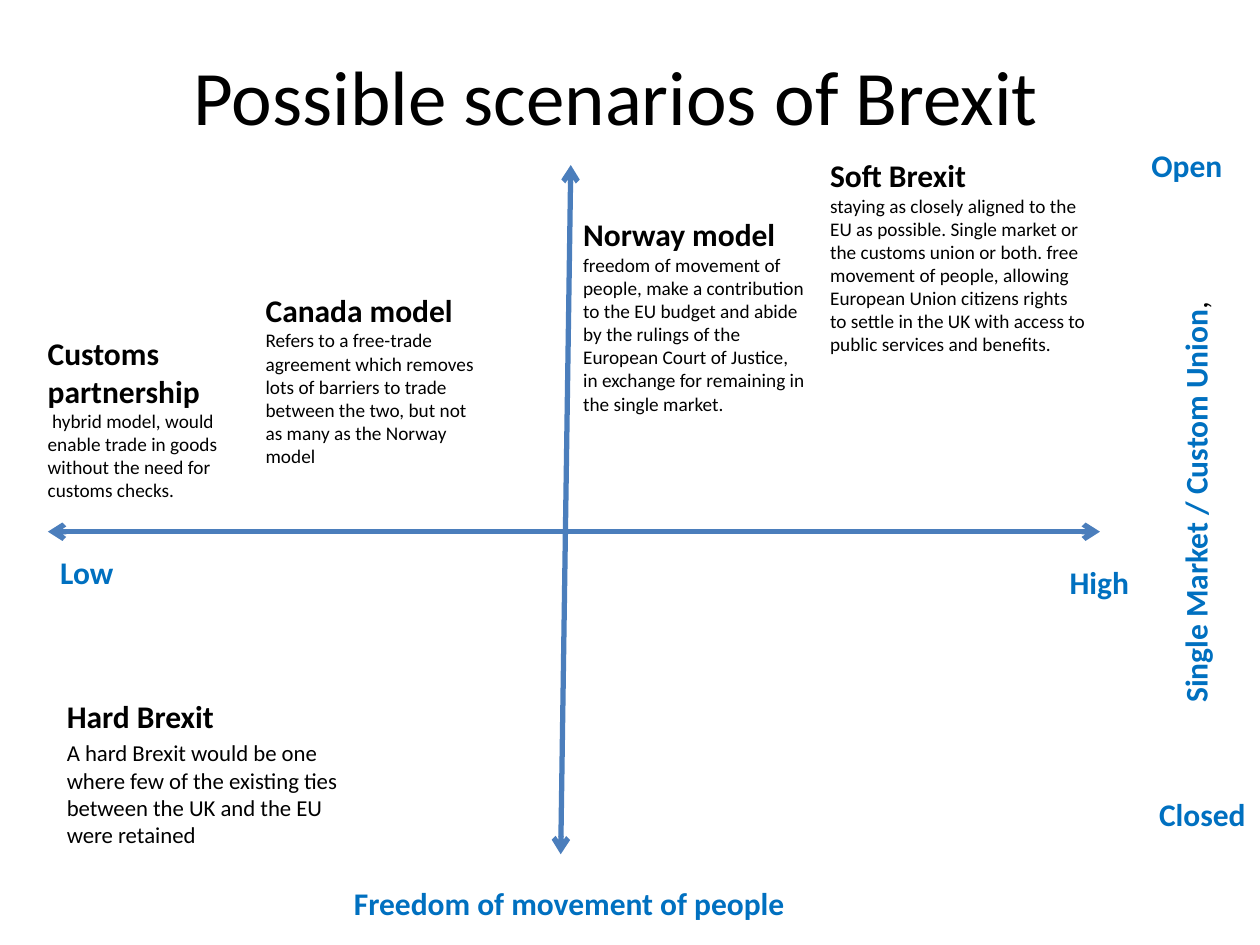
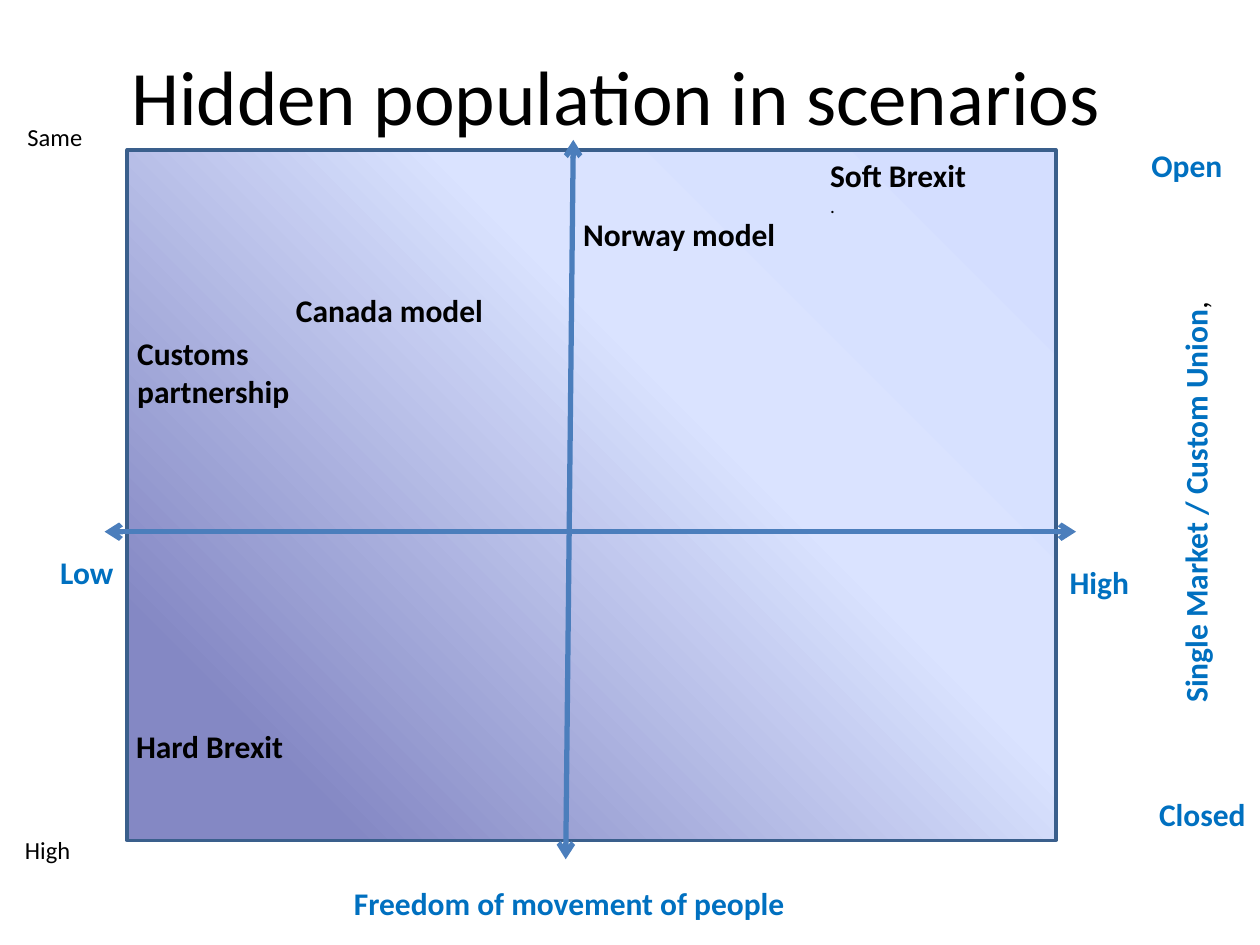
"""Build two slides that map Brexit scenarios on a market and movement grid."""
from dataclasses import dataclass

from lxml import etree
from pptx import Presentation
from pptx.dml.color import RGBColor
from pptx.enum import shapes, text
from pptx.oxml import ns
from pptx.util import Inches, Pt


@dataclass(frozen=True)
class Theme:
    """Colours, font and type sizes of the deck."""
    font: str = "Calibri"
    ink: str = "000000"
    accent: str = "0070C0"
    axis: str = "4B7EBC"
    border: str = "3A5F8C"
    gradient: tuple = ((14, "8488C4"), (62, "DAE3FF"), (100, "D4DEFF"), (100, "96AB94"))
    gradient_angle: int = 45
    title: int = 44
    heading: int = 18
    scale: int = 14
    hard_detail: int = 13
    detail: int = 11
    axis_width: int = 3
    border_width: int = 2


@dataclass(frozen=True)
class Box:
    """A place on the slide in inches."""
    left: float
    top: float
    width: float
    height: float

    def lengths(self) -> tuple:
        """Return the four sides as lengths."""
        return tuple(Inches(side) for side in (self.left, self.top, self.width, self.height))


@dataclass(frozen=True)
class Label:
    """A one-line label beside the grid."""
    words: str
    box: Box
    rotation: int = 0
    ending: str = ""


@dataclass(frozen=True)
class Scenario:
    """A scenario heading with an optional description."""
    heading: str
    box: Box
    detail: str = ""


@dataclass(frozen=True)
class Axis:
    """A double-headed arrow between two points in inches."""
    start: tuple
    end: tuple


THEME = Theme()
TITLE_BOX = Box(0.39, 0.13, 9, 1.25)
PANEL_BOX = Box(1.01, 1.19, 7.37, 5.48)
AXIS_LABELS = (
    Label("Freedom of movement of people", Box(2.71, 6.97, 3.71, 0.4)),
    Label("Single Market / Custom Union", Box(7.75, 3.74, 3.47, 0.4), 270, ", "),
    Label("High", Box(8.39, 4.42, 0.68, 0.4)),
    Label("Low", Box(0.38, 4.34, 0.63, 0.4)),
    Label("Open", Box(9.04, 1.11, 0.77, 0.4)),
    Label("Closed", Box(9.1, 6.26, 0.89, 0.4)),
)
SCALE_LABELS = (
    Label("High", Box(0.1, 6.58, 0.57, 0.34)),
    Label("Same", Box(0.12, 0.92, 0.64, 0.34)),
)


def write(paragraph, words: str, *, size: int, color: str = THEME.ink, bold: bool = False) -> None:
    """Add a formatted run to a paragraph."""
    run = paragraph.add_run()
    run.text = words
    run.font.name = THEME.font
    run.font.size = Pt(size)
    run.font.bold = bold
    run.font.color.rgb = RGBColor.from_string(color)


def place(shape, box: Box) -> None:
    """Move and size a shape."""
    shape.left, shape.top, shape.width, shape.height = box.lengths()


def add_text_box(slide, box: Box, *, wrap: bool):
    """Add a text box that grows with its text."""
    shape = slide.shapes.add_textbox(*box.lengths())
    shape.text_frame.word_wrap = wrap
    shape.text_frame.auto_size = text.MSO_AUTO_SIZE.SHAPE_TO_FIT_TEXT
    return shape


def fill_scenario(frame, scenario: Scenario, detail_size: int) -> None:
    """Write a scenario's heading and description into a text frame."""
    write(frame.paragraphs[0], scenario.heading, size=THEME.heading, bold=True)
    if scenario.detail:
        write(frame.add_paragraph(), scenario.detail, size=detail_size)


def add_label(slide, label: Label, *, size: int, color: str, bold: bool) -> None:
    """Add a label in a box that does not wrap."""
    shape = add_text_box(slide, label.box, wrap=False)
    shape.rotation = label.rotation
    paragraph = shape.text_frame.paragraphs[0]
    write(paragraph, label.words, size=size, color=color, bold=bold)
    if label.ending:
        write(paragraph, label.ending, size=size)


def add_axis(slide, axis: Axis) -> None:
    """Draw an axis with an arrowhead at both ends."""
    points = (Inches(value) for value in axis.start + axis.end)
    connector = slide.shapes.add_connector(shapes.MSO_CONNECTOR.STRAIGHT, *points)
    connector.line.width = Pt(THEME.axis_width)
    connector.line.color.rgb = RGBColor.from_string(THEME.axis)
    properties = connector._element.spPr
    outline = properties.find(ns.qn("a:ln"))
    for end in ("a:headEnd", "a:tailEnd"):
        etree.SubElement(outline, ns.qn(end), type="arrow")
    etree.SubElement(properties, ns.qn("a:effectLst"))


def add_panel(slide) -> None:
    """Put the gradient panel behind everything else."""
    panel = slide.shapes.add_shape(shapes.MSO_SHAPE.RECTANGLE, *PANEL_BOX.lengths())
    panel.shadow.inherit = False
    panel.line.width = Pt(THEME.border_width)
    panel.line.color.rgb = RGBColor.from_string(THEME.border)
    panel.fill.gradient()
    panel.fill.gradient_angle = THEME.gradient_angle
    stops = next(panel._element.iter(ns.qn("a:gsLst")))
    for stop in list(stops):
        stops.remove(stop)
    for position, color in THEME.gradient:
        stop = etree.SubElement(stops, ns.qn("a:gs"), pos=str(position * 1000))
        etree.SubElement(stop, ns.qn("a:srgbClr"), val=color)
    panel._element.getparent().insert(2, panel._element)


def add_grid_slide(presentation, title: str, hard: Scenario, axes: tuple, scenarios: tuple):
    """Add a slide with title, axes, axis labels and scenarios."""
    slide = presentation.slides.add_slide(presentation.slide_layouts[1])
    heading, body = slide.placeholders
    place(heading, TITLE_BOX)
    heading.text_frame.vertical_anchor = text.MSO_ANCHOR.MIDDLE
    heading.text_frame.paragraphs[0].alignment = text.PP_ALIGN.CENTER
    write(heading.text_frame.paragraphs[0], title, size=THEME.title)
    place(body, hard.box)
    fill_scenario(body.text_frame, hard, THEME.hard_detail)
    for paragraph in body.text_frame.paragraphs:
        properties = paragraph._p.get_or_add_pPr()
        properties.set("marL", "0")
        properties.set("indent", "0")
        etree.SubElement(properties, ns.qn("a:buNone"))
    for axis in axes:
        add_axis(slide, axis)
    for label in AXIS_LABELS:
        add_label(slide, label, size=THEME.heading, color=THEME.accent, bold=True)
    for scenario in scenarios:
        shape = add_text_box(slide, scenario.box, wrap=True)
        fill_scenario(shape.text_frame, scenario, THEME.detail)
    return slide


def main() -> None:
    """Build and save the presentation."""
    presentation = Presentation()
    presentation.slide_width, presentation.slide_height = Inches(10), Inches(7.5)
    add_grid_slide(
        presentation,
        "Possible scenarios of Brexit",
        Scenario("Hard Brexit", Box(0.43, 5.48, 2.52, 1.5),
                 "A hard Brexit would be one where few of the existing ties between "
                 "the UK and the EU were retained"),
        (Axis((4.53, 1.31), (4.45, 6.78)), Axis((8.73, 4.22), (0.38, 4.22))),
        (
            Scenario("Soft Brexit", Box(6.49, 1.19, 2.23, 1.88),
                     "staying as closely aligned to the EU as possible. Single market or the "
                     "customs union or both. free movement of people, allowing European Union "
                     "citizens rights to settle in the UK with access to public services and "
                     "benefits."),
            Scenario("Norway model", Box(4.53, 1.66, 1.97, 1.7),
                     "freedom of movement of people, make a contribution to the EU budget and "
                     "abide by the rulings of the European Court of Justice, in exchange for "
                     "remaining in the single market."),
            Scenario("Canada model", Box(2.01, 2.26, 1.96, 1.33),
                     "Refers to a free-trade agreement which removes lots of barriers to trade "
                     "between the two, but not as many as the Norway model"),
            Scenario("Customs partnership", Box(0.28, 2.6, 1.89, 1.45),
                     " hybrid model, would enable trade in goods without the need for customs "
                     "checks. "),
        ),
    )
    hidden = add_grid_slide(
        presentation,
        "Hidden population in scenarios",
        Scenario("Hard Brexit", Box(0.98, 5.72, 2.52, 1.5)),
        (Axis((4.55, 1.11), (4.49, 6.82)), Axis((8.54, 4.22), (0.83, 4.22))),
        (
            Scenario("Soft Brexit", Box(6.49, 1.19, 2.23, 0.77), "."),
            Scenario("Norway model", Box(4.53, 1.66, 1.97, 0.4)),
            Scenario("Canada model", Box(2.25, 2.26, 1.96, 0.4)),
            Scenario("Customs partnership", Box(0.99, 2.6, 1.89, 0.89)),
        ),
    )
    add_panel(hidden)
    for label in SCALE_LABELS:
        add_label(hidden, label, size=THEME.scale, color=THEME.ink, bold=False)
    presentation.save("out.pptx")


main()
